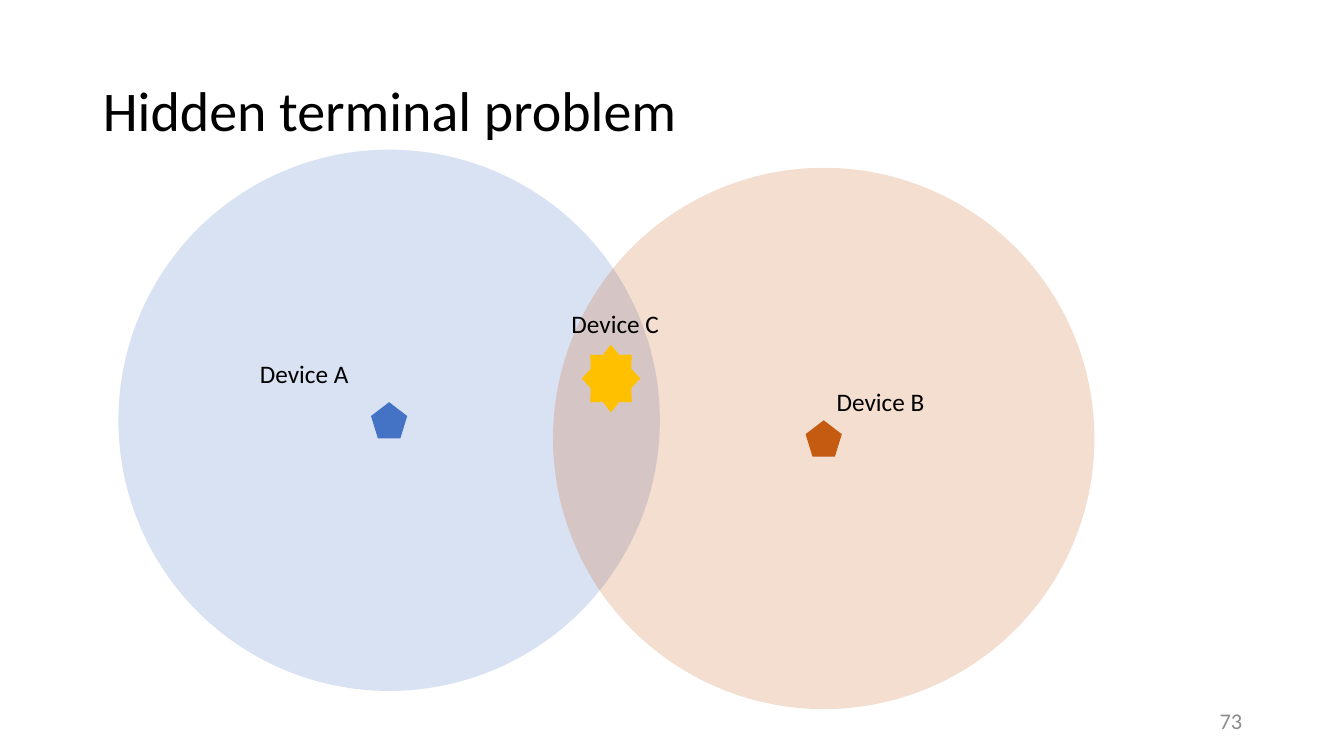
from lxml import etree
from pptx import Presentation
from pptx.dml.color import RGBColor
from pptx.enum.shapes import MSO_SHAPE
from pptx.enum.text import MSO_ANCHOR, MSO_AUTO_SIZE, PP_ALIGN
from pptx.oxml.ns import qn
from pptx.util import Inches, Pt

CIRCLE = MSO_SHAPE.OVAL
PENTAGON = MSO_SHAPE.REGULAR_PENTAGON
STAR = MSO_SHAPE.STAR_8_POINT
MIDDLE, TOP = MSO_ANCHOR.MIDDLE, MSO_ANCHOR.TOP
LEFT, RIGHT = PP_ALIGN.LEFT, PP_ALIGN.RIGHT
FIXED = MSO_AUTO_SIZE.NONE
TITLE_ONLY = 5

BLUE, ORANGE, GOLD = "4472C4", "C55A11", "FFC000"
BLACK, GREY = "000000", "8C8C8C"
RANGE_SIZE, DEVICE_SIZE = 5.37, 0.36


def color(value):
    return RGBColor.from_string(value)


class SlideBuilder:
    font = "Calibri"

    def __init__(self, page):
        self.page = page

    def fill_text(self, box, text, size, ink, align=LEFT, anchor=TOP):
        frame = box.text_frame
        frame.text = text
        frame.word_wrap = True
        frame.auto_size = FIXED
        frame.vertical_anchor = anchor
        para = frame.paragraphs[0]
        para.alignment = align
        span = para.runs[0]
        span.font.name = self.font
        span.font.size = Pt(size)
        span.font.color.rgb = color(ink)
        return para

    def title(self, text, left, top, width, height):
        box = self.page.shapes.title
        box.left, box.top = Inches(left), Inches(top)
        box.width, box.height = Inches(width), Inches(height)
        para = self.fill_text(box, text, 40, BLACK, anchor=MIDDLE)
        para.line_spacing = 0.9

    def text(self, text, left, top, width=1.4, size=18, ink=BLACK, **layout):
        box = self.page.shapes.add_textbox(
            Inches(left), Inches(top), Inches(width), Inches(0.4))
        self.fill_text(box, text, size, ink, **layout)

    def shape(self, kind, left, top, width, height, fill, opacity=100):
        shape = self.page.shapes.add_shape(
            kind, Inches(left), Inches(top), Inches(width), Inches(height))
        shape.shadow.inherit = False
        shape.line.fill.background()
        shape.fill.solid()
        shape.fill.fore_color.rgb = color(fill)
        if opacity < 100:
            tint = shape.element.spPr.find(".//" + qn("a:srgbClr"))
            etree.SubElement(tint, qn("a:alpha"), val=str(opacity * 1000))

    def device(self, center_x, center_y, fill):
        for kind, size, opacity in ((PENTAGON, DEVICE_SIZE, 100), (CIRCLE, RANGE_SIZE, 20)):
            self.shape(kind, center_x - size / 2, center_y - size / 2,
                       size, size, fill, opacity)


def main():
    deck = Presentation()
    deck.slide_width, deck.slide_height = Inches(13.33), Inches(7.5)
    builder = SlideBuilder(deck.slides.add_slide(deck.slide_layouts[TITLE_ONLY]))

    builder.title("Hidden terminal problem", 0.92, 0.4, 11.5, 1.45)
    builder.text("73", 9.42, 6.95, width=3, size=16, ink=GREY, align=RIGHT, anchor=MIDDLE)
    builder.device(3.86, 4.17, BLUE)
    builder.device(8.17, 4.35, ORANGE)
    builder.shape(STAR, 5.77, 3.42, 0.58, 0.67, GOLD)
    for name, left, top in (("A", 2.48, 3.51), ("B", 8.2, 3.78), ("C", 5.57, 3.01)):
        builder.text(f"Device {name}", left, top)

    deck.save("out.pptx")


if __name__ == "__main__":
    main()
